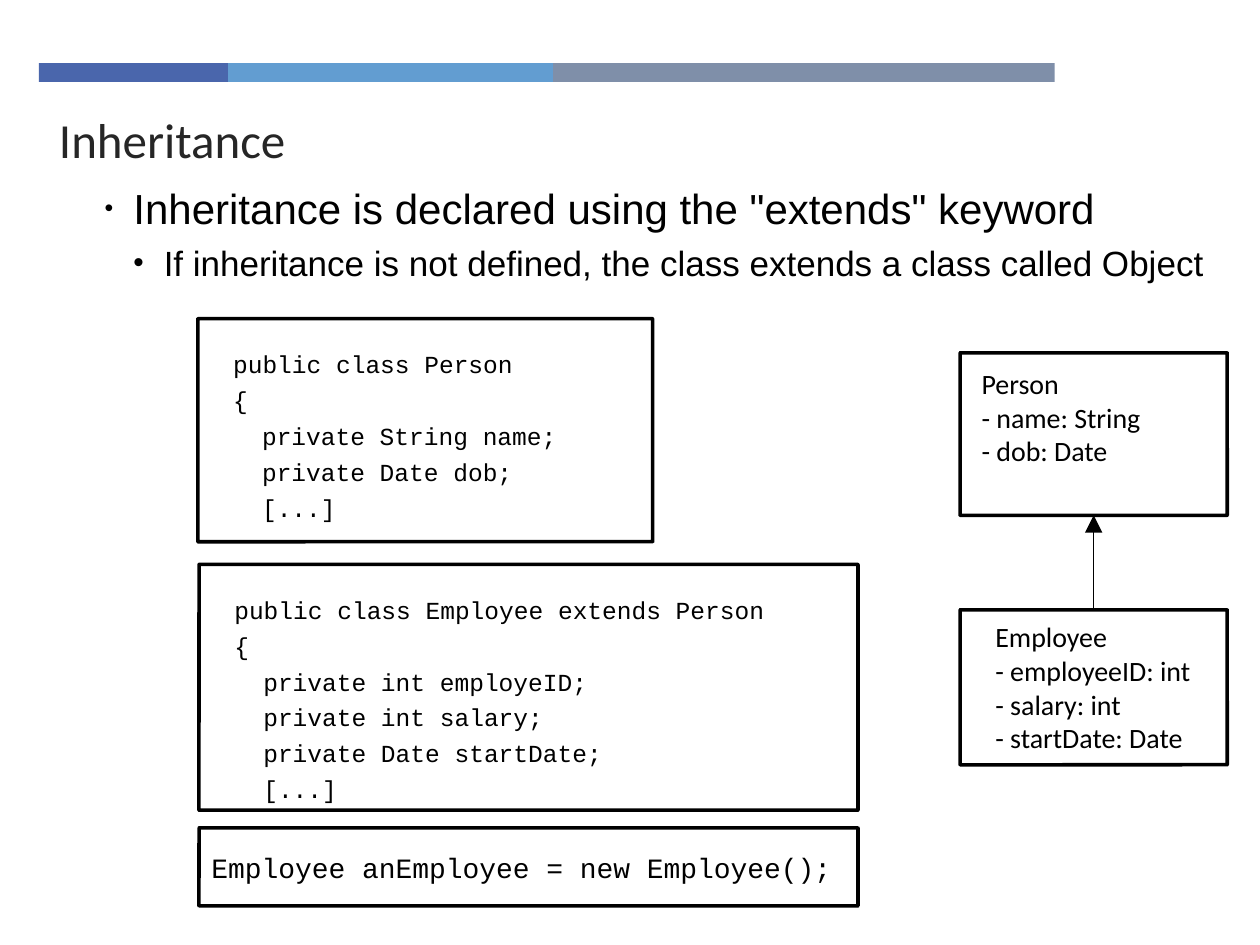
from pptx import Presentation
from pptx.dml.color import RGBColor
from pptx.enum.shapes import MSO_CONNECTOR, MSO_SHAPE
from pptx.enum.text import MSO_ANCHOR, PP_ALIGN
from pptx.oxml.ns import qn
from pptx.util import Inches, Pt
from lxml.etree import SubElement

BLACK = RGBColor(0x00, 0x00, 0x00)
WHITE = RGBColor(0xFF, 0xFF, 0xFF)
TITLE_GRAY = RGBColor(0x26, 0x26, 0x26)

# Content: positions are left, top, width, height in inches
BAR_LEFT = 0.31
BAR_SEGMENTS = [  # width, colour
    (1.5, RGBColor(0x4A, 0x66, 0xAC)),
    (2.58, RGBColor(0x62, 0x9D, 0xD1)),
    (3.98, RGBColor(0x7F, 0x8F, 0xA9)),
]
TITLE = "Inheritance"
BULLETS = [  # text, level, size, margin, hanging indent, bullet percent
    ('Inheritance is declared using the "extends" keyword', 0, 24, 0.23, 0.23, 59),
    ("If inheritance is not defined, the class extends a class called Object",
     1, 20, 0.47, 0.24, 85),
]
CLASS_BOXES = [  # position, text insets (left, top), lines
    ((7.62, 2.8, 2.12, 1.29), (0.17, 0.11),
     ["Person", "- name: String", "- dob: Date"]),
    ((7.62, 4.84, 2.12, 1.23), (0.28, 0.08),
     ["Employee", "- employeeID: int", "- salary: int", "- startDate: Date"]),
]
CODE_BLOCKS = [  # box position, text position, lines
    ((1.57, 2.53, 3.61, 1.77), (1.85, 2.77, 3.19, 1.93),
     ["public class Person", "{", "\tprivate String name;",
      "\tprivate Date dob;", "\t[...]"]),
    ((1.58, 4.48, 5.23, 1.95), (1.86, 4.72, 4.41, 1.59),
     ["public class Employee extends Person", "{", "\tprivate int employeID;",
      "\tprivate int salary;", "\tprivate Date startDate;", "\t[...]"]),
]
STATEMENT_POSITION = (1.58, 6.57, 5.23, 0.62)
STATEMENT = "Employee anEmployee = new Employee();"

presentation = Presentation()
presentation.slide_width, presentation.slide_height = Inches(10), Inches(7.5)
slide = presentation.slides.add_slide(presentation.slide_layouts[6])


def inches(values):
    return [Inches(value) for value in values]


def add_box(position):
    shape = slide.shapes.add_shape(MSO_SHAPE.ROUNDED_RECTANGLE, *inches(position))
    shape.adjustments[0] = 0.001
    shape.shadow.inherit = False
    shape.fill.solid()
    shape.fill.fore_color.rgb = WHITE
    shape.line.color.rgb = BLACK
    shape.line.width = Pt(2)
    return shape


def write_lines(shape, lines, font, size, color=BLACK, insets=(0, 0),
                space_before=0, anchor=MSO_ANCHOR.TOP, wrap=True):
    frame = shape.text_frame
    frame.word_wrap = wrap
    frame.vertical_anchor = anchor
    frame.margin_left, frame.margin_top = inches(insets)
    frame.margin_right = frame.margin_bottom = 0
    frame.text = "\n".join(lines)
    for paragraph in frame.paragraphs:
        paragraph.alignment = PP_ALIGN.LEFT
        paragraph.space_before = Pt(space_before)
        paragraph.font.name = font
        paragraph.font.size = Pt(size)
        paragraph.font.color.rgb = color
    return frame.paragraphs


def hang(paragraph, margin, hanging):
    properties = paragraph._p.get_or_add_pPr()
    properties.set("marL", str(Inches(margin)))
    properties.set("indent", str(-Inches(hanging)))
    return properties


# Coloured bar
left = BAR_LEFT
for width, color in BAR_SEGMENTS:
    segment = slide.shapes.add_shape(
        MSO_SHAPE.RECTANGLE, *inches((left, 0.5, width, 0.15)))
    segment.shadow.inherit = False
    segment.fill.solid()
    segment.fill.fore_color.rgb = color
    segment.line.fill.background()
    left += width

# Title
title = slide.shapes.add_textbox(*inches((0.37, 0.8, 7.16, 0.54)))
write_lines(title, [TITLE], "Calibri", 28, TITLE_GRAY, insets=(0.1, 0.07))

# Bullets
bullet_box = slide.shapes.add_textbox(*inches((0.83, 1.45, 9.37, 1.18)))
paragraphs = write_lines(bullet_box, [bullet[0] for bullet in BULLETS],
                         "Arial", 24, space_before=4.6)
for paragraph, (_, level, size, margin, hanging, percent) in zip(paragraphs, BULLETS):
    paragraph.level = level
    paragraph.font.size = Pt(size)
    properties = hang(paragraph, margin, hanging)
    marks = [("a:buSzPct", "val", str(percent * 1000)),
             ("a:buFont", "typeface", "Arial"), ("a:buChar", "char", "•")]
    run_defaults = properties.find(qn("a:defRPr"))
    for tag, attribute, value in marks:
        mark = SubElement(properties, qn(tag))
        mark.set(attribute, value)
        if run_defaults is not None:
            run_defaults.addprevious(mark)

# Class diagram
class_shapes = []
for position, insets, lines in CLASS_BOXES:
    shape = add_box(position)
    write_lines(shape, lines, "Calibri", 16, insets=insets)
    class_shapes.append(shape)

# Inheritance arrow from Employee up to Person
person, employee = class_shapes
arrow = slide.shapes.add_connector(MSO_CONNECTOR.STRAIGHT, 0, 0, 0, 0)
arrow.begin_connect(employee, 0)
arrow.end_connect(person, 2)
arrow.line.color.rgb = BLACK
arrow.line.width = Pt(0.75)
head = SubElement(arrow.line._get_or_add_ln(), qn("a:tailEnd"))
head.set("type", "triangle")
head.set("w", "lg")
head.set("len", "lg")
SubElement(arrow._element.spPr, qn("a:effectLst"))

# Code blocks
for box_position, text_position, lines in CODE_BLOCKS:
    add_box(box_position)
    code = slide.shapes.add_textbox(*inches(text_position))
    for paragraph in write_lines(code, lines, "Courier New", 14, space_before=3.7):
        hang(paragraph, 0.23, 0.23)

# Statement that creates an object
statement = add_box(STATEMENT_POSITION)
for paragraph in write_lines(statement, [STATEMENT], "Courier New", 16,
                             insets=(0.1, 0), space_before=2.8,
                             anchor=MSO_ANCHOR.MIDDLE):
    hang(paragraph, 0.23, 0.23)

presentation.save("out.pptx")
